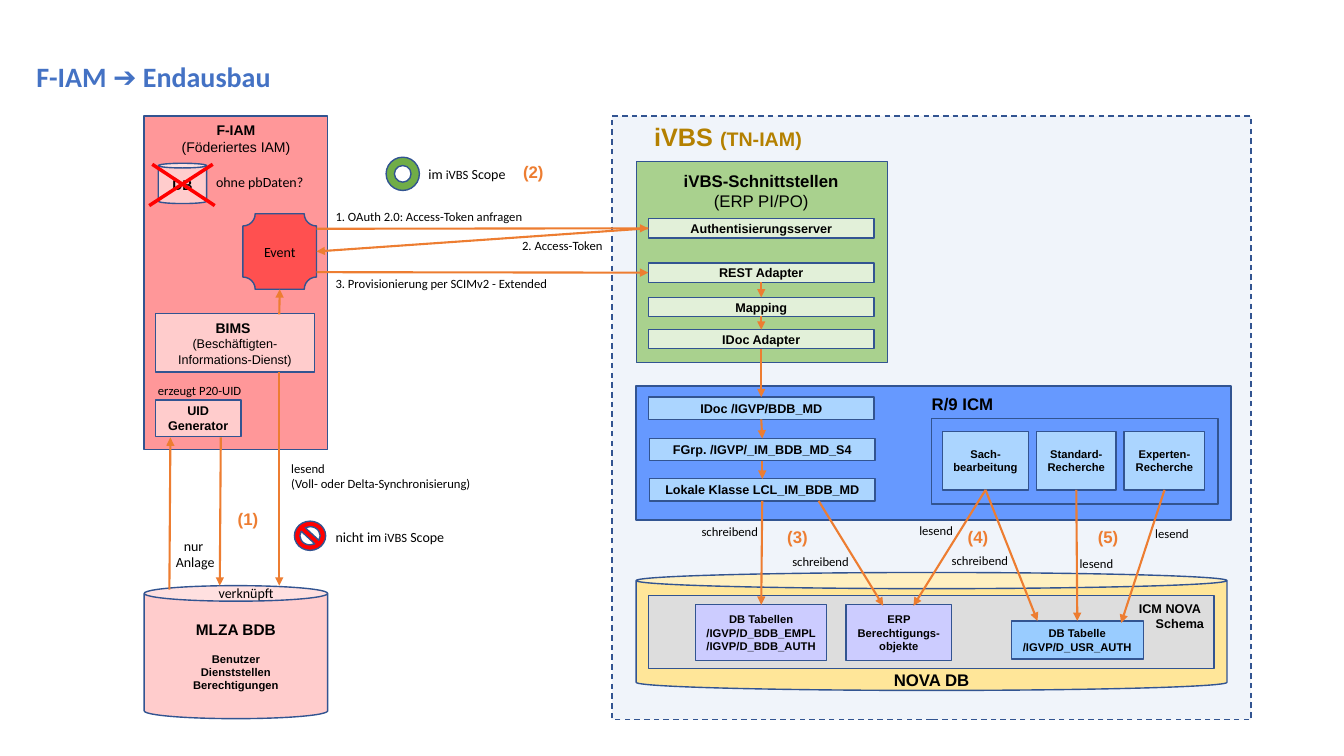
from dataclasses import dataclass, field

from lxml.etree import SubElement
from pptx import Presentation
from pptx.dml.color import RGBColor
from pptx.enum.dml import MSO_LINE_DASH_STYLE as Dash
from pptx.enum.shapes import MSO_CONNECTOR_TYPE as Link, MSO_AUTO_SHAPE_TYPE as Form
from pptx.enum.text import MSO_ANCHOR as Anchor, MSO_AUTO_SIZE as AutoSize, PP_ALIGN as Align
from pptx.oxml.ns import qn
from pptx.util import Cm, Pt

CM_PER_UNIT = 2.54
TOP, LEFT, BOTTOM, RIGHT = range(4)
COLORS = {
    "black": "000000", "title": "4472C4", "outline": "325491", "orange": "ED7D31",
    "red": "FF0000", "gold": "B48000", "salmon": "FF9799", "pink": "FFCCCC",
    "event": "FF5050", "frame": "8FAADC", "blue": "6699FF", "sky": "ABD5FF",
    "table": "99CCFF", "lilac": "CCCCFF", "yellow": "FFE699", "green": "A9D18E",
    "mint": "E2F0D9", "grey": "DDDDDD", "scope": "70AD47",
}


@dataclass
class Span:
    """A piece of text; a joined one continues the paragraph before it."""
    text: str
    size: float = 9
    bold: bool = False
    font: str = "Calibri"
    color: str = "black"
    joined: bool = False
    gap: float = 0


@dataclass
class Node:
    """A filled shape with optional text, found by its key."""
    key: str
    place: tuple
    fill: str | None
    spans: list = field(default_factory=list)
    form: Form = Form.RECTANGLE
    adjust: float | None = None
    align: Align = Align.CENTER
    anchor: Anchor = Anchor.MIDDLE
    alpha: int = 100
    dashed: bool = False


@dataclass
class Label:
    """A free text box."""
    place: tuple
    spans: list
    align: Align = Align.LEFT
    wrap: bool = False


@dataclass
class Arrow:
    """A straight line between points or (node key, side) pairs."""
    start: tuple
    end: tuple
    color: str = "orange"
    width: float = 1.5
    head: bool = True


def length(value: float) -> int:
    """Convert a drawing unit to a length."""
    return Cm(value * CM_PER_UNIT)


def rgb(name: str) -> RGBColor:
    """Look up a colour."""
    return RGBColor.from_string(COLORS[name])


def arial(text: str, size: float = 9, bold: bool = True, **more) -> list:
    """Make one Arial span for each line."""
    return [Span(line, size, bold, "Arial", **more) for line in text.split("\n")]


def plain(text: str, size: float = 9) -> list:
    """Make one Calibri span for each line."""
    return [Span(line, size) for line in text.split("\n")]


def scope(text: str) -> list:
    """Make a scope caption with a smaller system name."""
    return [Span(text, 10), Span("iVBS", joined=True), Span(" Scope", 10, joined=True)]


def add_span(para, text: str, *, size: float, bold: bool, font: str, color: str) -> None:
    """Append formatted text to a paragraph."""
    span = para.add_run()
    span.text = text
    span.font.size, span.font.bold, span.font.name = Pt(size), bold, font
    span.font.color.rgb = rgb(color)


def fill_frame(frame, spans: list, align: Align) -> None:
    """Write spans into a text frame."""
    para = frame.paragraphs[0]
    for index, span in enumerate(spans):
        if index and not span.joined:
            para = frame.add_paragraph()
        para.alignment = align
        if span.gap:
            para.space_before = Pt(span.gap)
        add_span(para, span.text, size=span.size, bold=span.bold, font=span.font, color=span.color)


def draw_node(page, node: Node):
    """Draw a shape and return it."""
    box = page.shapes.add_shape(node.form, *map(length, node.place))
    box.shadow.inherit = False
    if node.adjust is not None:
        box.adjustments[0] = node.adjust
    if node.fill is None:
        box.fill.background()
    else:
        box.fill.solid()
        box.fill.fore_color.rgb = rgb(node.fill)
    if node.alpha < 100:
        tone = box.element.spPr.find(qn("a:solidFill")).find(qn("a:srgbClr"))
        SubElement(tone, qn("a:alpha"), val=str(node.alpha * 1000))
    box.line.color.rgb, box.line.width = rgb("outline"), Pt(1)
    if node.dashed:
        box.line.dash_style = Dash.DASH
    if node.spans:
        box.text_frame.vertical_anchor = node.anchor
        fill_frame(box.text_frame, node.spans, node.align)
    return box


def draw_label(page, label: Label) -> None:
    """Draw a text box."""
    frame = page.shapes.add_textbox(*map(length, label.place)).text_frame
    frame.word_wrap, frame.auto_size = label.wrap, AutoSize.SHAPE_TO_FIT_TEXT
    fill_frame(frame, label.spans, label.align)


def draw_arrow(page, arrow: Arrow, boxes: dict) -> None:
    """Draw a line and join it to the named nodes."""
    ends = (arrow.start, arrow.end)
    points = [(0, 0) if isinstance(end[0], str) else end for end in ends]
    line = page.shapes.add_connector(Link.STRAIGHT, *[length(v) for point in points for v in point])
    for end, connect in zip(ends, (line.begin_connect, line.end_connect)):
        if isinstance(end[0], str):
            connect(boxes[end[0]], end[1])
    line.line.color.rgb, line.line.width = rgb(arrow.color), Pt(arrow.width)
    properties = line.element.spPr
    if arrow.head:
        SubElement(properties.find(qn("a:ln")), qn("a:tailEnd"), type="triangle")
    SubElement(properties, qn("a:effectLst"))


ADAPTERS = [("Authentisierungsserver", 2.17), ("REST Adapter", 2.61), ("Mapping", 2.95), ("IDoc Adapter", 3.27)]
MODULES = [("IDoc /IGVP/BDB_MD", 6.43, 3.94), ("FGrp. /IGVP/_IM_BDB_MD_S4", 6.44, 4.35),
           ("Lokale Klasse LCL_IM_BDB_MD", 6.44, 4.75)]
SERVER, CLASS = ADAPTERS[0][0], MODULES[-1][0]
CHAIN = [row[0] for row in ADAPTERS[1:] + MODULES]
APPS = [("Sach-bearbeitung", 9.35, 0.85), ("Standard-Recherche", 10.28, 0.79), ("Experten-Recherche", 11.15, 0.8)]
NODES = [
    Node("F-IAM", (1.43, 1.15, 1.82, 3.31), "salmon"),
    Node("DB", (1.57, 1.62, 0.48, 0.4), "pink", arial("DB", 10), Form.CAN, 0.117),
    Node("BIMS", (1.54, 3.11, 1.58, 0.58), "pink"),
    Node("iVBS", (6.07, 1.15, 6.34, 5.99), "frame", alpha=13, dashed=True),
    Node("ICM", (6.31, 3.83, 5.9, 1.33), "blue"),
    Node("Datenbank", (6.31, 5.68, 5.86, 1.17), "yellow", form=Form.CAN, adjust=0.137),
    Node("Schnittstellen", (6.31, 1.6, 2.49, 2), "green"),
    Node("Schema", (6.43, 5.91, 5.61, 0.72), "grey", arial("ICM NOVA \nSchema"),
         align=Align.RIGHT, anchor=Anchor.TOP),
    Node("Anwendungen", (9.24, 4.15, 2.84, 0.85), None),
    *[Node(name, (x, 4.28, w, 0.58), "sky", arial(name, 8)) for name, x, w in APPS],
    *[Node(name, (6.43, y, 2.24, 0.19), "mint", arial(name)) for name, y in ADAPTERS],
    *[Node(name, (x, y, 2.24, 0.22), "sky", arial(name)) for name, x, y in MODULES],
    Node("Tabellen", (6.9, 6, 1.3, 0.55), "lilac", arial("DB Tabellen\n/IGVP/D_BDB_EMPL\n/IGVP/D_BDB_AUTH", 8)),
    Node("Objekte", (8.39, 6, 1.05, 0.55), "lilac", arial("ERP Berechtigungs-objekte", 8)),
    Node("Tabelle", (10.03, 6.16, 1.31, 0.38), "table", arial("DB Tabelle\n/IGVP/D_USR_AUTH", 8)),
    Node("Scope", (3.83, 1.56, 0.33, 0.33), "scope", form=Form.DONUT),
    Node("Kein Scope", (2.92, 5.17, 0.31, 0.29), "red", form=Form.NO_SYMBOL),
    Node("BDB", (1.43, 5.81, 1.82, 1.32), "pink", arial("MLZA BDB", 11) + arial("Benutzer", 8, gap=9.5)
         + arial("Dienststellen\nBerechtigungen", 8), Form.CAN, 0.117),
    Node("UID", (1.54, 3.97, 0.85, 0.36), "pink", arial("UID\nGenerator")),
    Node("Event", (2.41, 2.12, 0.73, 0.75), "event", plain("Event", 10), Form.PLAQUE),
]
ARROWS = [
    Arrow((1.48, 2.04), (2.11, 1.63), "red", 2.5, False),
    Arrow((1.51, 1.63), (2.13, 2.04), "red", 2.5, False),
    *[Arrow((upper, BOTTOM), (lower, TOP)) for upper, lower in zip(CHAIN, CHAIN[1:])],
    Arrow((CLASS, BOTTOM), ("Tabellen", TOP)),
    Arrow((8.12, 4.97), (8.76, 6.01)),
    Arrow((APPS[0][0], BOTTOM), (9.06, 6.01)),
    Arrow((APPS[0][0], BOTTOM), (10.29, 6.16)),
    Arrow((APPS[1][0], BOTTOM), ("Tabelle", TOP)),
    Arrow((APPS[2][0], BOTTOM), (11.12, 6.18)),
    Arrow((2.77, 3.69), (2.77, 5.81)),
    Arrow((2.19, 4.34), (2.18, 5.81)),
    Arrow((1.68, 5.85), (1.69, 4.34)),
    Arrow((2.77, 3.12), ("Event", BOTTOM)),
    Arrow((3.14, 2.27), (SERVER, LEFT)),
    Arrow((SERVER, LEFT), ("Event", RIGHT)),
    Arrow((3.14, 2.7), ("REST Adapter", LEFT)),
]
STEPS = [(2.26, 5), (5.09, 1.56), (7.71, 5.18), (9.5, 5.18), (10.79, 5.18)]
WRITES = [(6.86, 5.15), (7.76, 5.45), (9.34, 5.44)]
READS = [(9.02, 5.14), (10.61, 5.47), (11.36, 5.17)]
LABELS = [
    Label((1.43, 1.16, 1.82, 0.44), arial("F-IAM", 10) + arial("(Föderiertes IAM)", 10, False), Align.CENTER, True),
    Label((1.54, 3.12, 1.58, 0.57), arial("BIMS ", 10) + arial("(Beschäftigten-Informations-Dienst)", 9, False),
          Align.CENTER, True),
    Label((6.31, 1.64, 2.48, 0.5), arial("iVBS-Schnittstellen", 12) + arial("(ERP PI/PO)", 12, False),
          Align.CENTER, True),
    Label((9.1, 3.86, 0.85, 0.3), arial("R/9 ICM ", 12), Align.RIGHT, True),
    Label((6.39, 1.15, 1.96, 0.4), arial("iVBS ", 18, color="gold")
          + arial("(TN-IAM)", 14, color="gold", joined=True), wrap=True),
    Label((6.31, 6.6, 5.86, 0.3), arial("NOVA DB", 12), Align.CENTER, True),
    *[Label((x, y, 0.46, 0.3), arial(f"({step})", 12, color="orange"), wrap=True)
      for step, (x, y) in enumerate(STEPS, 1)],
    *[Label((x, y, 0.77, 0.25), plain("schreibend")) for x, y in WRITES],
    *[Label((x, y, 0.54, 0.25), plain("lesend")) for x, y in READS],
    Label((4.15, 1.59, 0.98, 0.27), scope("im ")),
    Label((3.23, 5.19, 1.34, 0.27), scope("nicht im ")),
    Label((2.79, 4.52, 2.01, 0.4), plain("lesend\n(Voll- oder Delta-Synchronisierung)")),
    Label((1.45, 3.75, 1.06, 0.25), plain("erzeugt P20-UID"), Align.CENTER),
    Label((1.64, 5.28, 0.59, 0.44), plain("nur \nAnlage", 10), Align.CENTER),
    Label((1.99, 1.67, 1.17, 0.27), plain("ohne pbDaten?", 10), Align.CENTER, True),
    Label((3.23, 2.02, 2.08, 0.25), plain("1. OAuth 2.0: Access-Token anfragen")),
    Label((5.08, 2.31, 1.05, 0.25), plain("2. Access-Token")),
    Label((3.23, 2.69, 2.35, 0.25), plain("3. Provisionierung per SCIMv2 - Extended")),
    Label((2.07, 5.75, 0.76, 0.27), plain("verknüpft", 10)),
]


def draw_title(page) -> None:
    """Place and format the title."""
    title = page.shapes.title
    title.left, title.top, title.width, title.height = map(length, (0.36, 0.59, 3.72, 0.34))
    frame = title.text_frame
    frame.margin_left = frame.margin_right = frame.margin_top = frame.margin_bottom = Cm(0)
    frame.vertical_anchor, frame.auto_size, frame.word_wrap = Anchor.TOP, AutoSize.SHAPE_TO_FIT_TEXT, True
    fill_frame(frame, [Span("F-IAM ➔ Endausbau", 20, True, color="title")], Align.LEFT)


def main() -> None:
    """Build and save the deck."""
    deck = Presentation()
    deck.slide_width, deck.slide_height = length(13.33), length(7.5)
    page = deck.slides.add_slide(deck.slide_layouts[5])
    draw_title(page)
    boxes = {node.key: draw_node(page, node) for node in NODES}
    for arrow in ARROWS:
        draw_arrow(page, arrow, boxes)
    for label in LABELS:
        draw_label(page, label)
    deck.save("out.pptx")


if __name__ == "__main__":
    main()
